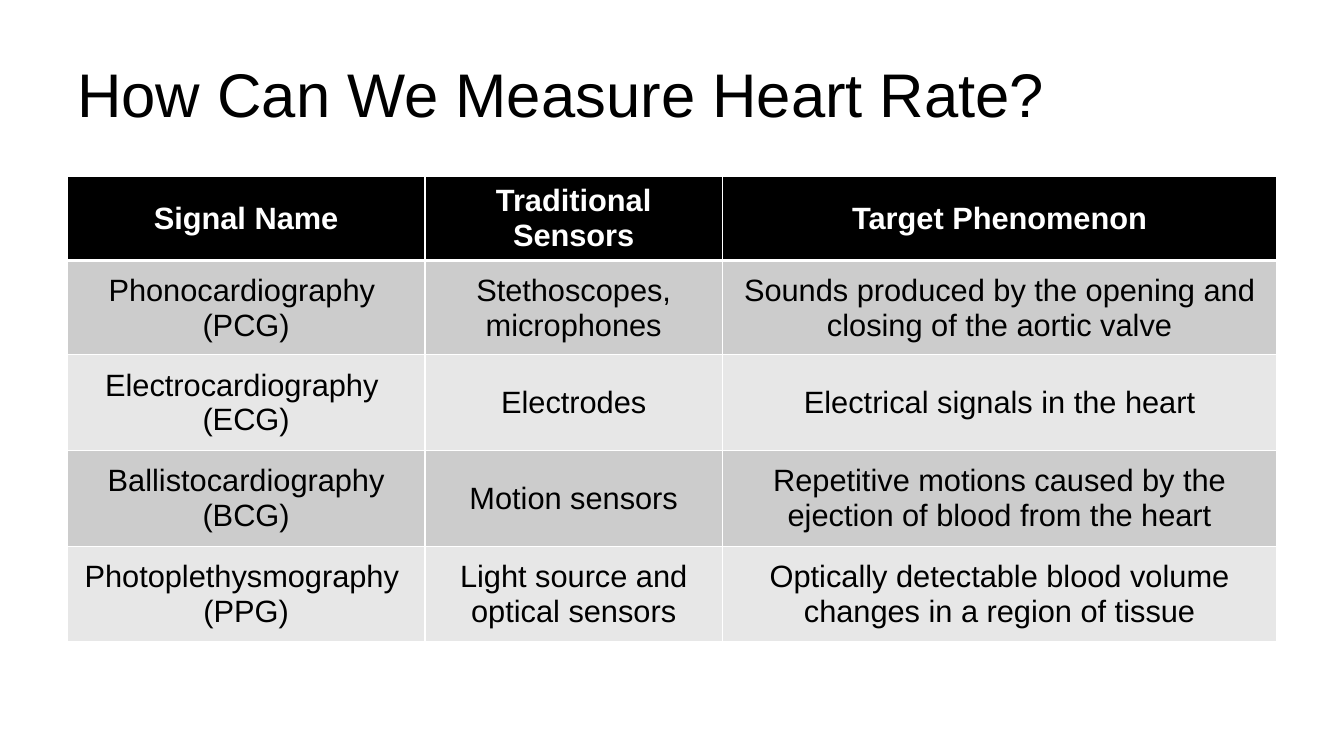
"""Build a slide with stacked tables comparing ways to measure heart rate."""
from dataclasses import dataclass

from lxml import etree
from pptx import Presentation
from pptx.dml.color import RGBColor
from pptx.enum.text import MSO_ANCHOR, PP_ALIGN
from pptx.oxml.ns import qn
from pptx.util import Pt

MIDDLE = MSO_ANCHOR.MIDDLE
LEFT = PP_ALIGN.LEFT
CENTER = PP_ALIGN.CENTER


@dataclass(frozen=True)
class Theme:
    font: str = "Arial"
    title_size: int = 44
    table_size: int = 22
    dark: str = "000000"
    light: str = "FFFFFF"
    bands: tuple = ("CCCCCC", "E7E7E7")
    thin_border: int = 1
    header_border: int = 3


theme = Theme()


def write_text(text_frame, text, alignment, size, color, bold=False):
    text_frame.text = text
    paragraph = text_frame.paragraphs[0]
    paragraph.alignment = alignment
    font_values = {"name": theme.font, "size": Pt(size), "bold": bold}
    for run in paragraph.runs:
        for attribute, value in font_values.items():
            setattr(run.font, attribute, value)
        run.font.color.rgb = RGBColor.from_string(color)


def add_borders(cell, widths):
    properties = cell._tc.get_or_add_tcPr()
    for position, (side, width) in enumerate(widths.items()):
        line = etree.Element(qn(f"a:ln{side}"), w=str(Pt(width)))
        fill = etree.SubElement(line, qn("a:solidFill"))
        etree.SubElement(fill, qn("a:srgbClr"), val=theme.light)
        properties.insert(position, line)


TABLE_LEFT, TABLE_TOP = 48, 126
COLUMN_WIDTHS = (255.6, 212.4, 396)
HEADER_HEIGHT, SIGNAL_HEIGHT = 59, 68.4

header = ("Signal Name", "Traditional Sensors", "Target Phenomenon")
signals = (
    ("Phonocardiography \v(PCG)", "Stethoscopes, microphones",
     "Sounds produced by the opening and closing of the aortic valve"),
    ("Electrocardiography \v(ECG)", "Electrodes",
     "Electrical signals in the heart"),
    ("Ballistocardiography\v(BCG)", "Motion sensors",
     "Repetitive motions caused by the ejection of blood from the heart"),
    ("Photoplethysmography \v(PPG)", "Light source and optical sensors",
     "Optically detectable blood volume changes in a region of tissue"),
)

presentation = Presentation()
presentation.slide_width = Pt(960)
presentation.slide_height = Pt(540)
slide = presentation.slides.add_slide(presentation.slide_layouts[6])

title = slide.shapes.add_textbox(Pt(48), Pt(21.6), Pt(864), Pt(90))
title.text_frame.word_wrap = True
title.text_frame.vertical_anchor = MIDDLE
write_text(title.text_frame, "How Can We Measure Heart Rate?", LEFT,
           theme.title_size, theme.dark)

top = TABLE_TOP
for signal_index, signal in enumerate(signals):
    rows = [(signal, SIGNAL_HEIGHT, False)]
    if signal_index == 0:
        rows.insert(0, (header, HEADER_HEIGHT, True))
    table_height = sum(height for _, height, _ in rows)
    table = slide.shapes.add_table(
        len(rows), len(COLUMN_WIDTHS), Pt(TABLE_LEFT), Pt(top),
        Pt(sum(COLUMN_WIDTHS)), Pt(table_height)).table
    for column, width in zip(table.columns, COLUMN_WIDTHS):
        column.width = Pt(width)
    for row_index, (texts, height, is_header) in enumerate(rows):
        table.rows[row_index].height = Pt(height)
        fill_color = theme.dark if is_header else theme.bands[signal_index % 2]
        text_color = theme.light if is_header else theme.dark
        borders = dict.fromkeys("LRTB", theme.thin_border)
        if is_header:
            borders["B"] = theme.header_border
        elif row_index > 0:
            borders["T"] = theme.header_border
        for column_index, text in enumerate(texts):
            cell = table.cell(row_index, column_index)
            cell.vertical_anchor = MIDDLE
            cell.fill.solid()
            cell.fill.fore_color.rgb = RGBColor.from_string(fill_color)
            write_text(cell.text_frame, text, CENTER, theme.table_size,
                       text_color, is_header)
            add_borders(cell, borders)
    top += table_height

presentation.save("out.pptx")
